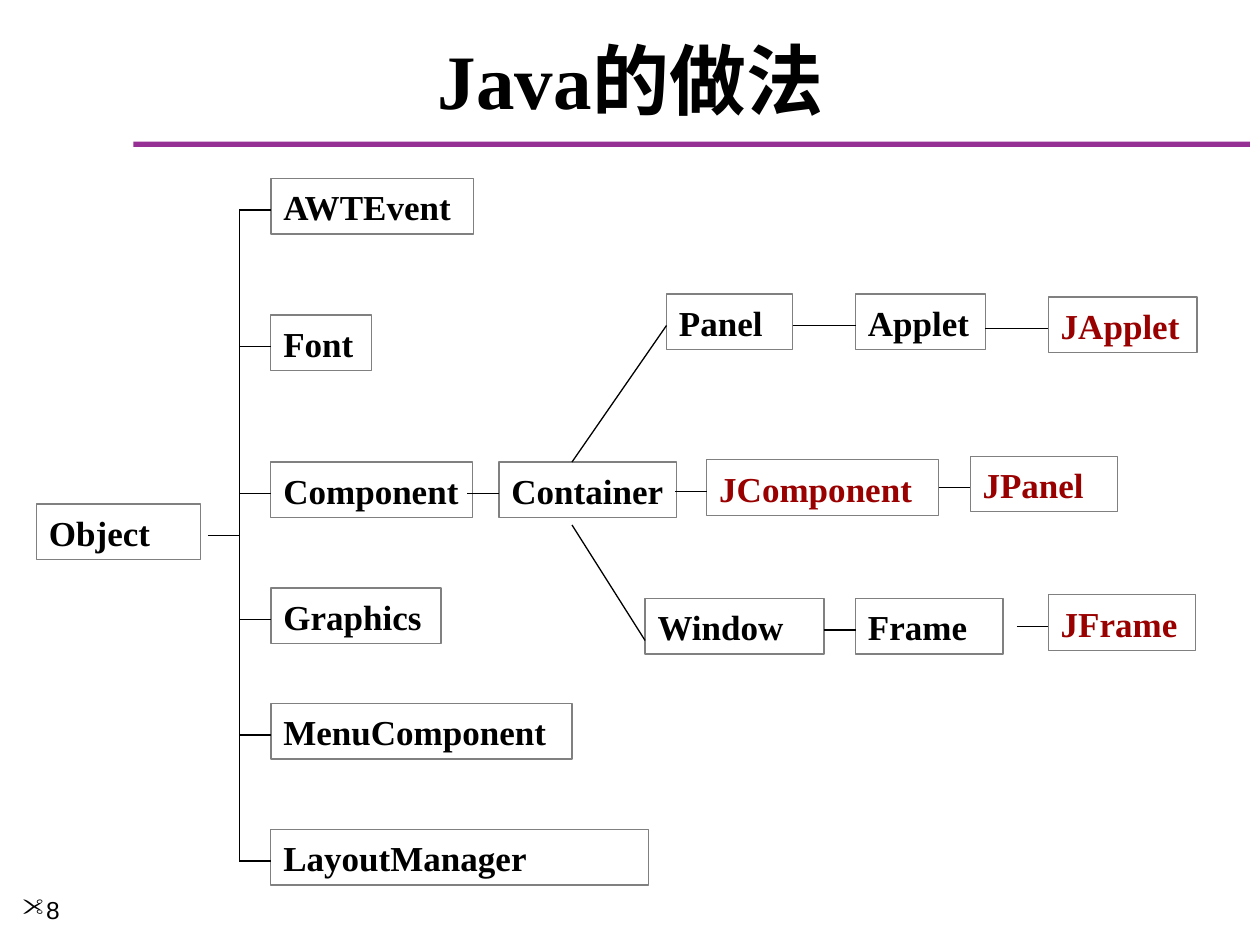
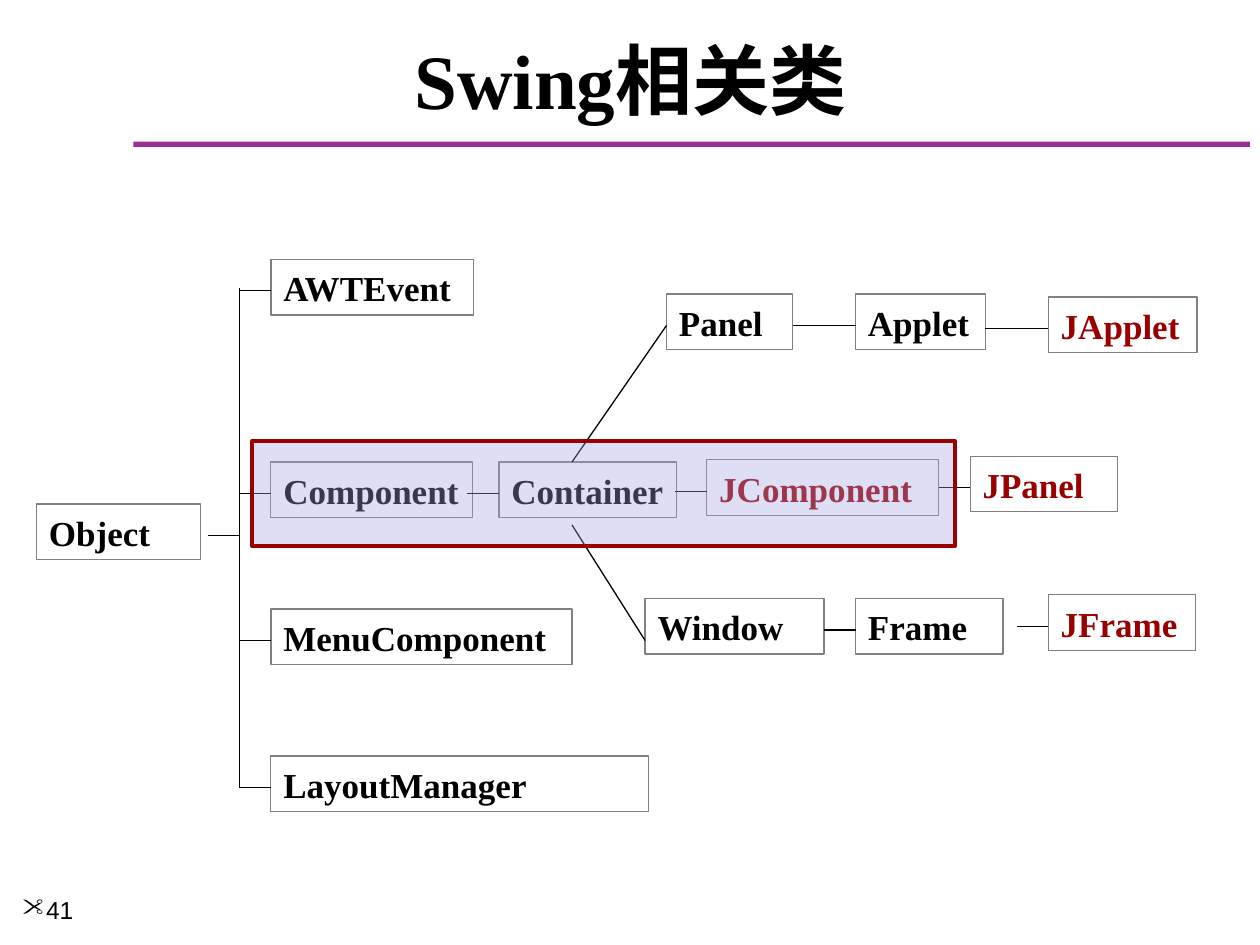
import dataclasses
import typing

import lxml.etree
import pptx
import pptx.dml.color
import pptx.enum.shapes
import pptx.enum.text
import pptx.oxml.ns
import pptx.shapes.autoshape
import pptx.slide
import pptx.util

Shape = pptx.shapes.autoshape.Shape
Slide = pptx.slide.Slide
Anchor = pptx.enum.text.MSO_ANCHOR
Align = pptx.enum.text.PP_ALIGN
qn = pptx.oxml.ns.qn

WIDTH, HEIGHT = pptx.util.Inches(10), pptx.util.Inches(7.5)
COLUMN, ROW = WIDTH / 100, HEIGHT / 90
BOX_ROWS = 5.3
LINK_ROWS = 3  # from the top of a box down to its link
STUB = 2.5
TRUNK_COLUMN = 19
BRANCH_COLUMN = TRUNK_COLUMN + STUB
FORK_COLUMN = 45.4


@dataclasses.dataclass(frozen=True)
class Theme:
    heading_font: str = "Times New Roman"
    number_font: str = "Arial"
    title_size: float = 44
    class_size: float = 20
    number_size: float = 14
    ink: str = "000000"
    swing: str = "990000"
    band: str = "973095"
    border: str = "808080"
    highlight: str = "A3A3E0"
    highlight_opacity: int = 35
    thin: float = 0.75
    thick: float = 2.25


THEME = Theme()


class Area(typing.NamedTuple):
    """A rectangle in columns and rows of the slide grid."""
    left: float
    top: float
    width: float
    height: float

    def lengths(self) -> tuple[int, int, int, int]:
        return (round(self.left * COLUMN), round(self.top * ROW),
                round(self.width * COLUMN), round(self.height * ROW))


class ClassBox(typing.NamedTuple):
    """A class name in a box, with a link of the given length on its left."""
    name: str
    left: float
    top: float
    width: float
    link: float = STUB
    color: str = THEME.ink


class Branch(typing.NamedTuple):
    name: str
    top: float
    width: float


class ClassTree(typing.NamedTuple):
    title: str
    number: str
    trunk_top: float
    branches: list[Branch]
    highlight: Area | None = None


TITLE_AREA = Area(1.7, 3, 96.7, 9)
BAND_AREA = Area(10.6, 13.5, 88.6, 0.5)
NUMBER_AREA = Area(0.8, 84.7, 10.8, 5.3)

ROOT = ClassBox("Object", 2.9, 48, 13, link=0)
DESCENDANTS = [
    ClassBox("Container", 39.6, 44, 14.1),
    ClassBox("Panel", 52.9, 28, 10, link=0),
    ClassBox("Applet", 67.9, 28, 10.3, link=5),
    ClassBox("Window", 51.2, 57, 14.2, link=0),
    ClassBox("Frame", 67.9, 57, 11.7),
    ClassBox("JFrame", 83.2, 56.65, 11.7, color=THEME.swing),
    ClassBox("JApplet", 83.2, 28.3, 11.8, link=5, color=THEME.swing),
    ClassBox("JComponent", 56.1, 43.8, 18.4, color=THEME.swing),
    ClassBox("JPanel", 77, 43.45, 11.7, color=THEME.swing),
]

TREES = [
    ClassTree("Java的做法", "8", 20, [
        Branch("AWTEvent", 17, 16.1),
        Branch("Font", 30, 8),
        Branch("Component", 44, 16),
        Branch("Graphics", 56, 13.5),
        Branch("MenuComponent", 67, 23.9),
        Branch("LayoutManager", 79, 30),
    ]),
    ClassTree("Swing相关类", "41", 27.4, [
        Branch("AWTEvent", 24.7, 16.1),
        Branch("Component", 44, 16),
        Branch("MenuComponent", 58, 23.9),
        Branch("LayoutManager", 72, 30),
    ], highlight=Area(20, 42, 55.8, 10)),
]


def rgb(color: str) -> pptx.dml.color.RGBColor:
    return pptx.dml.color.RGBColor.from_string(color)


def write_text(shape: Shape, text: str, *, font: str = THEME.heading_font,
               size: float = THEME.class_size, color: str = THEME.ink,
               bold: bool = True, align: Align = Align.LEFT,
               anchor: Anchor = Anchor.TOP, bullet: str = "") -> None:
    frame = shape.text_frame
    frame.word_wrap = True
    frame.vertical_anchor = anchor
    paragraph = frame.paragraphs[0]
    paragraph.alignment = align
    if bullet:
        properties = paragraph._p.get_or_add_pPr()
        lxml.etree.SubElement(properties, qn("a:buFont"), typeface="Wingdings", charset="2")
        lxml.etree.SubElement(properties, qn("a:buChar"), char=bullet)
    run = paragraph.add_run()
    run.text = text
    run.font.name = font
    run.font.size = pptx.util.Pt(size)
    run.font.bold = bold
    run.font.color.rgb = rgb(color)


def add_rectangle(slide: Slide, area: Area, *, fill: str = "", line: str = "",
                  line_width: float = THEME.thin) -> Shape:
    shape = slide.shapes.add_shape(pptx.enum.shapes.MSO_SHAPE.RECTANGLE, *area.lengths())
    shape.shadow.inherit = False
    if fill:
        shape.fill.solid()
        shape.fill.fore_color.rgb = rgb(fill)
    else:
        shape.fill.background()
    if line:
        shape.line.color.rgb = rgb(line)
        shape.line.width = pptx.util.Pt(line_width)
    else:
        shape.line.fill.background()
    return shape


def add_line(slide: Slide, left: float, top: float, right: float, bottom: float) -> None:
    connector = slide.shapes.add_connector(
        pptx.enum.shapes.MSO_CONNECTOR.STRAIGHT,
        round(left * COLUMN), round(top * ROW), round(right * COLUMN), round(bottom * ROW))
    connector.line.color.rgb = rgb(THEME.ink)
    connector.line.width = pptx.util.Pt(THEME.thin)
    lxml.etree.SubElement(connector._element.spPr, qn("a:effectLst"))


def add_class_box(slide: Slide, box: ClassBox) -> None:
    shape = add_rectangle(slide, Area(box.left, box.top, box.width, BOX_ROWS),
                          line=THEME.border)
    shape.text_frame.margin_right = 0
    write_text(shape, box.name, color=box.color, anchor=Anchor.BOTTOM)
    if box.link:
        row = box.top + LINK_ROWS
        add_line(slide, box.left - box.link, row, box.left, row)


def add_frame(slide: Slide, title: str, number: str) -> None:
    """Add the title, the band under it and the page number."""
    add_rectangle(slide, BAND_AREA, fill=THEME.band)
    heading = slide.shapes.title
    heading.left, heading.top, heading.width, heading.height = TITLE_AREA.lengths()
    write_text(heading, title, size=THEME.title_size, align=Align.CENTER,
               anchor=Anchor.MIDDLE)
    number_box = slide.shapes.add_textbox(*NUMBER_AREA.lengths())
    write_text(number_box, number, font=THEME.number_font, size=THEME.number_size,
               bold=False, bullet='"')


def add_highlight(slide: Slide, area: Area) -> None:
    shape = add_rectangle(slide, area, fill=THEME.highlight, line=THEME.swing,
                          line_width=THEME.thick)
    color = shape._element.spPr.find(qn("a:solidFill"))[0]
    lxml.etree.SubElement(color, qn("a:alpha"), val=str(THEME.highlight_opacity * 1000))


def add_class_tree(slide: Slide, tree: ClassTree) -> None:
    add_frame(slide, tree.title, tree.number)
    branches = [ClassBox(branch.name, BRANCH_COLUMN, branch.top, branch.width)
                for branch in tree.branches]
    for box in [ROOT, *branches, *DESCENDANTS]:
        add_class_box(slide, box)

    root_row = ROOT.top + LINK_ROWS
    add_line(slide, TRUNK_COLUMN - STUB, root_row, TRUNK_COLUMN, root_row)
    add_line(slide, TRUNK_COLUMN, tree.trunk_top,
             TRUNK_COLUMN, branches[-1].top + LINK_ROWS)

    boxes = {box.name: box for box in DESCENDANTS}
    container, panel, window = (boxes[name] for name in ("Container", "Panel", "Window"))
    add_line(slide, FORK_COLUMN, container.top, panel.left, panel.top + LINK_ROWS)
    add_line(slide, FORK_COLUMN, container.top + 6, window.left, window.top + 4)
    if tree.highlight:
        add_highlight(slide, tree.highlight)


def main() -> None:
    presentation = pptx.Presentation()
    presentation.slide_width, presentation.slide_height = WIDTH, HEIGHT
    title_only = presentation.slide_layouts.get_by_name("Title Only")
    for tree in TREES:
        add_class_tree(presentation.slides.add_slide(title_only), tree)
    presentation.save("out.pptx")


if __name__ == "__main__":
    main()
